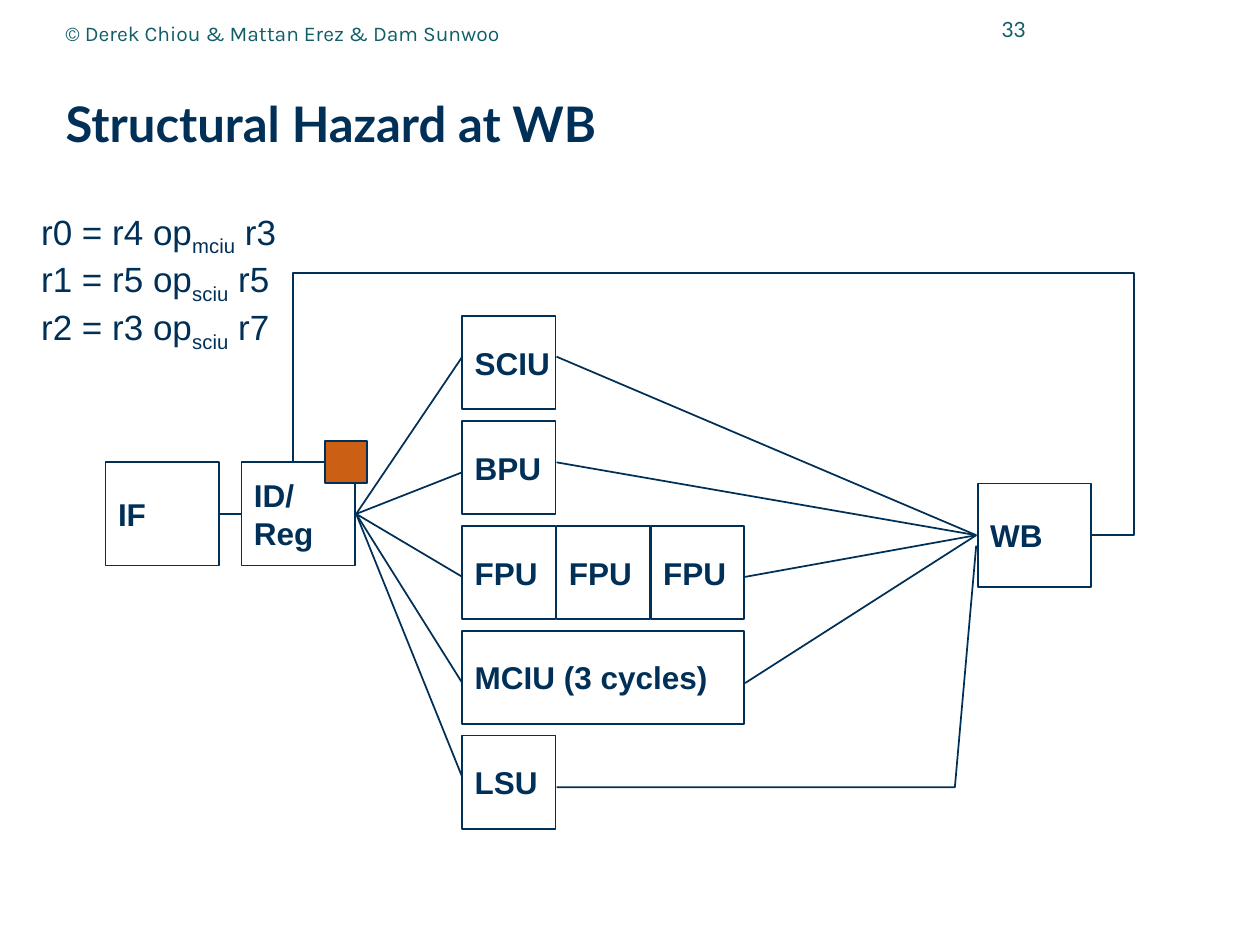
from dataclasses import dataclass

import lxml.etree
import pptx
import pptx.dml.color
import pptx.enum.shapes
import pptx.enum.text
import pptx.oxml.ns
import pptx.util

Cm, Pt = pptx.util.Cm, pptx.util.Pt
RGB = pptx.dml.color.RGBColor.from_string
ALIGN = pptx.enum.text.PP_ALIGN
ANCHOR = pptx.enum.text.MSO_ANCHOR
RECTANGLE = pptx.enum.shapes.MSO_SHAPE.RECTANGLE
STRAIGHT = pptx.enum.shapes.MSO_CONNECTOR.STRAIGHT


@dataclass(frozen=True)
class Theme:
    ink: str = "003057"
    header: str = "115E67"
    marker: str = "CB6015"
    title_font: str = "Lato"
    footer_font: str = "Karla"
    body_font: str = "Arial"
    title_size: int = 28
    header_size: int = 12
    code_size: int = 20
    stage_size: int = 18
    line: float = 1
    marker_line: float = 0.75


THEME = Theme()


def set_font(para, name, size, color, bold=False):
    para.font.name = name
    para.font.size = Pt(size)
    para.font.color.rgb = RGB(color)
    para.font.bold = bold


def set_line(shape, width=THEME.line):
    shape.line.color.rgb = RGB(THEME.ink)
    shape.line.width = Pt(width)


def add_title(page, left, top, width, height):
    title = page.shapes.title
    title.left, title.top, title.width, title.height = map(Cm, (left, top, width, height))
    frame = title.text_frame
    frame.text = "Structural Hazard at WB"
    frame.auto_size = pptx.enum.text.MSO_AUTO_SIZE.NONE
    frame.vertical_anchor = ANCHOR.MIDDLE
    para = frame.paragraphs[0]
    para.alignment = ALIGN.LEFT
    para.line_spacing = 0.99
    set_font(para, THEME.title_font, THEME.title_size, THEME.ink, bold=True)


def add_header_text(page, text, font, align, left, top, width, height):
    box = page.shapes.add_textbox(*map(Cm, (left, top, width, height)))
    frame = box.text_frame
    frame.word_wrap = True
    frame.vertical_anchor = ANCHOR.MIDDLE
    frame.text = text
    para = frame.paragraphs[0]
    para.alignment = align
    set_font(para, font, THEME.header_size, THEME.header)


def add_code(page, left, top, width, height):
    """Instruction list with the unit of each operation as a subscript."""
    instructions = [("r0 = r4 op", "mciu", " r3"),
                    ("r1 = r5 op", "sciu", " r5"),
                    ("r2 = r3 op", "sciu", " r7")]
    frame = page.shapes.add_textbox(*map(Cm, (left, top, width, height))).text_frame
    frame.word_wrap = False
    for index, parts in enumerate(instructions):
        para = frame.add_paragraph() if index else frame.paragraphs[0]
        set_font(para, THEME.body_font, THEME.code_size, THEME.ink)
        spans = [para.add_run() for _ in parts]
        for span, text in zip(spans, parts):
            span.text = text
        spans[1]._r.get_or_add_rPr().set("baseline", "-25000")


def add_box(page, left, top, width, height):
    box = page.shapes.add_shape(RECTANGLE, *map(Cm, (left, top, width, height)))
    box.shadow.inherit = False
    box.fill.background()
    set_line(box)
    return box


def add_stage(page, text, left, top, width, height):
    frame = add_box(page, left, top, width, height).text_frame
    frame.word_wrap = False
    frame.vertical_anchor = ANCHOR.MIDDLE
    frame.text = text
    for para in frame.paragraphs:
        para.alignment = ALIGN.LEFT
        set_font(para, THEME.body_font, THEME.stage_size, THEME.ink, bold=True)


def add_wire(page, start, end):
    wire = page.shapes.add_connector(STRAIGHT, *map(Cm, (*start, *end)))
    set_line(wire)
    lxml.etree.SubElement(wire._element.spPr, pptx.oxml.ns.qn("a:effectLst"))


def add_bent_wire(page, points):
    corners = [(Cm(x), Cm(y)) for x, y in points]
    builder = page.shapes.build_freeform(*corners[0])
    builder.add_line_segments(corners[1:], close=False)
    wire = builder.convert_to_shape()
    wire.shadow.inherit = False
    wire.fill.background()
    set_line(wire)


def add_pipeline(page, left, top):
    def at(x, y):
        return left + x, top + y

    stage = (2.29, 2.08)
    for text, x, y in [("IF", 0, 3.81), ("ID/\nReg", 2.74, 3.81), ("WB", 17.58, 4.24)]:
        add_stage(page, text, *at(x, y), *stage)

    unit, row_pitch, column_pitch = 1.88, 2.115, 1.9
    unit_left, unit_top = 7.19, 0.86
    units = [("SCIU", 0, 0, 1), ("BPU", 1, 0, 1), ("FPU", 2, 0, 1), ("FPU", 2, 1, 1),
             ("FPU", 2, 2, 1), ("MCIU (3 cycles)", 3, 0, 3), ("LSU", 4, 0, 1)]
    for text, row, column, span in units:
        add_stage(page, text,
                  *at(unit_left + column * column_pitch, unit_top + row * row_pitch),
                  unit + (span - 1) * column_pitch, unit)

    issue, write_back = at(5.05, 4.85), at(17.55, 5.28)
    add_wire(page, at(2.31, 4.85), at(2.74, 4.85))
    for y in (1.68, 4.01, 6.12, 8.26, 10.16):
        add_wire(page, at(unit_left, y), issue)
    short_exit, long_exit = unit_left + column_pitch, unit_left + 3 * column_pitch
    for x, y in [(short_exit, 1.68), (short_exit, 3.81), (long_exit, 6.12), (long_exit, 8.26)]:
        add_wire(page, at(x, y), write_back)

    load_route = [(short_exit, 10.36), (17.12, 10.36), (17.55, 5.49)]
    register_route = [(19.89, 5.28), (20.73, 5.28), (20.73, 0), (3.78, 0), (3.78, 3.81)]
    for route in (load_route, register_route):
        add_bent_wire(page, [at(*point) for point in route])

    marker = add_box(page, *at(4.42, 3.38), 0.85, 0.85)
    marker.fill.solid()
    marker.fill.fore_color.rgb = RGB(THEME.marker)
    set_line(marker, THEME.marker_line)


def main():
    deck = pptx.Presentation()
    deck.slide_width, deck.slide_height = Cm(25.4), Cm(19.05)
    page = deck.slides.add_slide(deck.slide_layouts[5])
    add_title(page, 1.07, 1.27, 23.9, 2.49)
    add_header_text(page, "33", THEME.title_font, ALIGN.RIGHT, 18.62, -0.05, 2.31, 1.27)
    add_header_text(page, "© Derek Chiou & Mattan Erez & Dam Sunwoo",
                    THEME.footer_font, ALIGN.LEFT, 1.07, 0.08, 14.4, 1.17)
    add_pipeline(page, 2.13, 5.51)
    add_code(page, 0.58, 4.11, 5.38, 2.82)
    deck.save("out.pptx")


if __name__ == "__main__":
    main()
